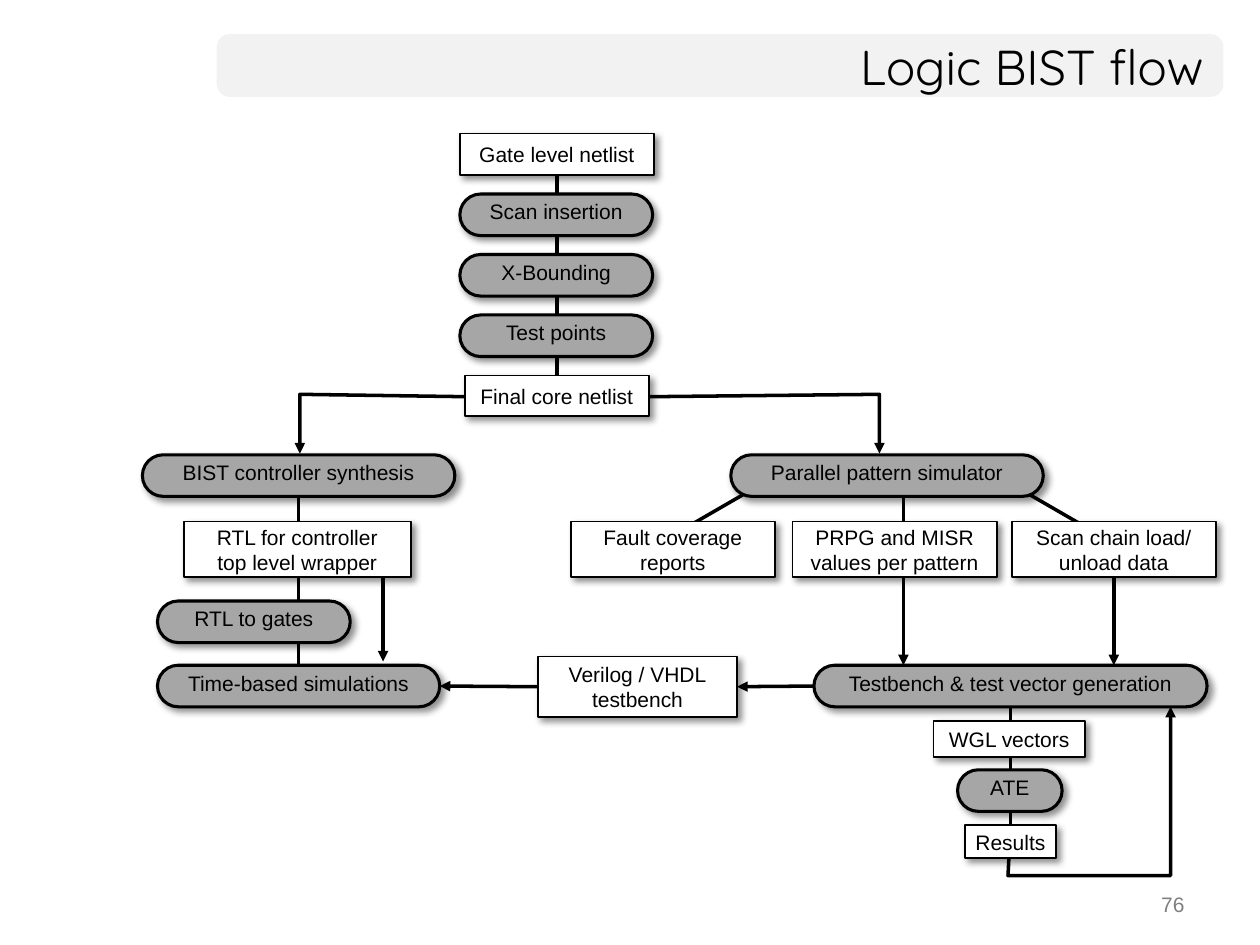
from dataclasses import dataclass

from pptx import Presentation, util as u
from pptx.dml.color import RGBColor
from pptx.enum import shapes as s, text as t
from pptx.oxml import parse_xml
from pptx.oxml.ns import nsdecls

CELL = 0.1  # inches: the slide is a grid of 100 columns by 75 rows
PILL_ROWS = 3.3


@dataclass(frozen=True)
class Theme:
    ink: str = "000000"
    paper: str = "FFFFFF"
    step: str = "A6A6A6"
    bar: str = "F2F2F2"
    muted: str = "808080"
    body_font: str = "Arial"
    title_font: str = "Quicksand"
    body_size: float = 12
    title_size: float = 28
    data_line: float = 1
    step_line: float = 1.75
    flow_line: float = 2


THEME = Theme()


def grid(cells):
    return u.Inches(round(cells * CELL, 3))


def write(shape, words, font=THEME.body_font, size=THEME.body_size, color=THEME.ink,
          align=t.PP_ALIGN.CENTER, wrap=True, bottom=0.05):
    """Put text, one paragraph a line, into a shape."""
    frame = shape.text_frame
    frame.text = words
    frame.word_wrap = wrap
    frame.vertical_anchor = t.MSO_ANCHOR.MIDDLE
    frame.margin_left = frame.margin_right = u.Inches(0.1)
    frame.margin_top, frame.margin_bottom = u.Inches(0.05), u.Inches(bottom)
    for paragraph in frame.paragraphs:
        paragraph.alignment = align
        paragraph.font.name = font
        paragraph.font.size = u.Pt(size)
        paragraph.font.color.rgb = RGBColor.from_string(color)


def add_shadow(shape):
    shape.shadow.inherit = False
    shape._element.spPr.find("{*}effectLst").append(parse_xml(
        f'<a:outerShdw {nsdecls("a")} blurRad="{u.Pt(4)}" dist="{u.Pt(3)}" dir="2700000" '
        f'algn="tl" rotWithShape="0"><a:srgbClr val="{THEME.ink}">'
        '<a:alpha val="43000"/></a:srgbClr></a:outerShdw>'))


def style_flow(flow, arrow):
    """Format a flow line and lay it behind the boxes."""
    flow.line.color.rgb = RGBColor.from_string(THEME.ink)
    flow.line.width = u.Pt(THEME.flow_line)
    if arrow:
        flow.line._get_or_add_ln().append(
            parse_xml(f'<a:tailEnd {nsdecls("a")} type="triangle"/>'))
    element = flow._element
    element.getparent().insert(2, element)


@dataclass
class Region:
    """A part of the slide whose contents are placed from its left column and top row."""
    slide: object
    left: float
    top: float

    def point(self, x, y):
        return grid(self.left + x), grid(self.top + y)

    def box(self, kind, x, y, w, h, fill, line, width):
        shape = self.slide.shapes.add_shape(kind, *self.point(x, y), grid(w), grid(h))
        shape.fill.solid()
        shape.fill.fore_color.rgb = RGBColor.from_string(fill)
        shape.line.color.rgb = RGBColor.from_string(line)
        shape.line.width = u.Pt(width)
        add_shadow(shape)
        return shape

    def data(self, words, x, y, w, h):
        shape = self.box(s.MSO_SHAPE.RECTANGLE, x, y, w, h,
                         THEME.paper, THEME.ink, THEME.data_line)
        write(shape, words, wrap=False)
        return shape

    def step(self, words, x, y, w):
        shape = self.box(s.MSO_SHAPE.ROUNDED_RECTANGLE, x, y, w, PILL_ROWS,
                         THEME.step, THEME.ink, THEME.step_line)
        shape.adjustments[0] = 0.5
        write(shape, words, bottom=0.1)
        return shape

    def line(self, start, end, arrow=False):
        """Each end is a point (x, y) or a joint (shape, side)."""
        joints = [not isinstance(e[0], (int, float)) for e in (start, end)]
        ends = [(0, 0) if joined else self.point(*e)
                for e, joined in zip((start, end), joints)]
        flow = self.slide.shapes.add_connector(s.MSO_CONNECTOR.STRAIGHT, *ends[0], *ends[1])
        if joints[0]:
            flow.begin_connect(*start)
        if joints[1]:
            flow.end_connect(*end)
        flow._element.spPr.append(parse_xml(f'<a:effectLst {nsdecls("a")}/>'))
        style_flow(flow, arrow)

    def bent_arrow(self, *corners):
        first, *rest = [self.point(*corner) for corner in corners]
        builder = self.slide.shapes.build_freeform(*first)
        builder.add_line_segments(rest, close=False)
        flow = builder.convert_to_shape()
        flow.fill.background()
        flow.shadow.inherit = False
        style_flow(flow, True)


def header(slide, left, top, width, height):
    spot = grid(left), grid(top)
    bar = slide.shapes.add_shape(s.MSO_SHAPE.ROUNDED_RECTANGLE, *spot,
                                 grid(width), grid(height))
    bar.adjustments[0] = 0.21
    bar.fill.solid()
    bar.fill.fore_color.rgb = RGBColor.from_string(THEME.bar)
    bar.line.fill.background()
    bar.shadow.inherit = False
    title = slide.shapes.add_textbox(*spot, grid(width - 0.6), grid(height))
    write(title, "Logic BIST flow", font=THEME.title_font, size=THEME.title_size,
          align=t.PP_ALIGN.RIGHT)


def page_number(slide, left, top, width, height):
    number = slide.shapes.add_textbox(grid(left), grid(top), grid(width), grid(height))
    write(number, "76", color=THEME.muted, align=t.PP_ALIGN.RIGHT)


def core_preparation(region):
    gate = region.data("Gate level netlist", 0, 0, 15.4, 3.3)
    for row, words in enumerate(("Scan insertion", "X-Bounding", "Test points"), 1):
        region.step(words, 0, 4.8 * row, 15.3)
    core = region.data("Final core netlist", 0.4, 19.2, 14.6, 3.2)
    region.line((gate, 2), (core, 0))
    # Fan-out to both branches
    for start, branch in ((1.1, -12.7), (14.3, 33.3)):
        region.bent_arrow((start, 20.9), (branch, 20.7), (branch, 25.4))


def controller_branch(region):
    synthesis = region.step("BIST controller synthesis", 0, 0, 24.8)
    region.data("RTL for controller\ntop level wrapper", 3.3, 5.3, 18, 4.4)
    region.step("RTL to gates", 1.2, 11.6, 15.3)
    simulations = region.step("Time-based simulations", 1.2, 16.7, 22.4)
    region.line((synthesis, 2), (simulations, 0))
    region.line((19.1, 6.8), (19.1, 16.4), arrow=True)
    return simulations


def pattern_branch(region, simulations):
    region.step("Parallel pattern simulator", 15.3, 0, 24.8)
    outputs = (("Fault coverage\nreports", 2.6),
               ("PRPG and MISR\nvalues per pattern", 20.2),
               ("Scan chain load/\nunload data", 37.6))
    *_, scan_data = [region.data(words, x, 5.3, 16.2, 4.4) for words, x in outputs]
    testbench = region.data("Verilog / VHDL\ntestbench", 0, 16, 15.8, 4.8)
    generation = region.step("Testbench & test vector generation", 21.9, 16.7, 31.2)
    # Simulator outputs
    region.line((18.8, 1.7), (10.5, 6.5))
    region.line((36.5, 1.7), (44.8, 6.5))
    region.line((29, 1.7), (29, 16.7), arrow=True)
    region.line((scan_data, 2), (45.7, 16.7), arrow=True)
    # Testbench back to the simulations
    region.line((generation, 1), (testbench, 3), arrow=True)
    region.line((testbench, 1), (simulations, 3), arrow=True)
    return generation


def tester_loop(region, generation):
    region.data("WGL vectors", 0, 0, 12, 2.9)
    region.step("ATE", 1.9, 3.9, 8.3)
    results = region.data("Results", 2.5, 8.3, 7.2, 2.6)
    region.line((generation, 2), (results, 0))
    region.bent_arrow((6.1, 8.4), (5.9, 12.3), (18.8, 12.3), (18.8, -1.1))


def main():
    deck = Presentation()
    deck.slide_width, deck.slide_height = grid(100), grid(75)
    slide = deck.slides.add_slide(deck.slide_layouts[6])
    header(slide, 17.2, 2.7, 79.9, 5)
    core_preparation(Region(slide, 36.5, 10.6))
    simulations = controller_branch(Region(slide, 11.3, 36.1))
    generation = pattern_branch(Region(slide, 42.7, 36.1), simulations)
    tester_loop(Region(slide, 74.1, 57.2), generation)
    page_number(slide, 71.7, 70, 23.3, 3.5)
    deck.save("out.pptx")


if __name__ == "__main__":
    main()
